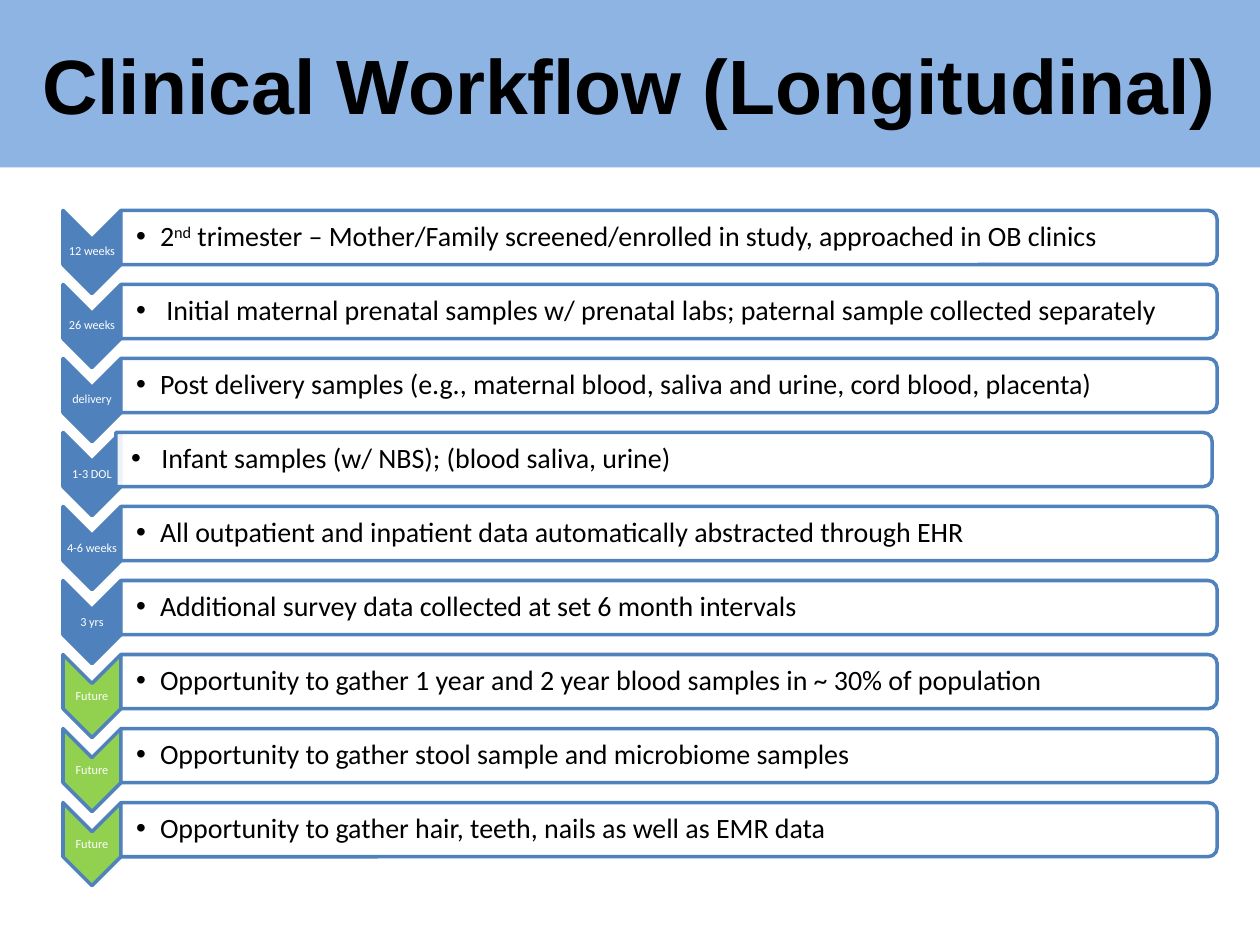
from lxml.etree import SubElement
from pptx import Presentation
from pptx.dml.color import RGBColor
from pptx.enum.shapes import MSO_SHAPE
from pptx.enum.text import MSO_ANCHOR, PP_ALIGN
from pptx.oxml.ns import qn
from pptx.util import Inches, Pt

BLUE, GREEN, WHITE, BLACK = "4F81BD", "92D050", "FFFFFF", "000000"
STEPS = [
    ("12 weeks", ["2", "nd", " trimester – Mother/Family screened/enrolled in study, "
                  "approached in OB clinics"]),
    ("26 weeks", [" Initial maternal prenatal samples w/ prenatal labs; "
                  "paternal sample collected separately"]),
    ("delivery", ["Post delivery samples (e.g., maternal blood, saliva and urine, "
                  "cord blood, placenta)"]),
    ("1-3 DOL", [" Infant samples (w/ NBS); (blood saliva, urine)"]),
    ("4-6 weeks", ["All outpatient and inpatient data automatically abstracted through EHR"]),
    ("3 yrs", ["Additional survey data collected at set 6 month intervals"]),
    ("Future", ["Opportunity to gather 1 year and 2 year blood samples in ~ 30% of population"]),
    ("Future", ["Opportunity to gather stool sample and microbiome samples"]),
    ("Future", ["Opportunity to gather hair, teeth, nails as well as EMR data"]),
]
TOP, PITCH = 1.67, 4.7 / 8       # first row and row step
CHEVRON_W, CHEVRON_H = 0.46, 0.66
BAR_W, BAR_H = 8.7, 0.43

prs = Presentation()
prs.slide_width, prs.slide_height = Inches(10), Inches(7.5)
slide = prs.slides.add_slide(prs.slide_layouts[5])


def add_turned(kind, left, top, width, height, fill):
    """Add a shape turned by 90 degrees that covers the given area."""
    x, y = left + (width - height) / 2, top + (height - width) / 2
    sp = slide.shapes.add_shape(kind, Inches(x), Inches(y), Inches(height), Inches(width))
    sp.rotation = 90
    sp.shadow.inherit = False
    sp.fill.solid()
    sp.fill.fore_color.rgb = RGBColor.from_string(fill)
    sp.line.color.rgb = RGBColor.from_string(BLUE)
    sp.line.width = Pt(2)
    return sp


def add_text(left, top, width, height, runs, size, color, insets=(0, 0, 0, 0)):
    """Add a text box with one paragraph and return the paragraph."""
    box = slide.shapes.add_textbox(Inches(left), Inches(top), Inches(width), Inches(height))
    tf = box.text_frame
    tf.word_wrap = True
    tf.vertical_anchor = MSO_ANCHOR.MIDDLE
    tf.margin_left, tf.margin_top, tf.margin_right, tf.margin_bottom = map(Inches, insets)
    p = tf.paragraphs[0]
    p.line_spacing = 0.9
    for text in runs:
        r = p.add_run()
        r.text = text
        r.font.name, r.font.size = "Calibri", Pt(size)
        r.font.color.rgb = RGBColor.from_string(color)
        if text == "nd":
            r.font._element.set("baseline", "30000")
    return p


# Header band behind the title
band = slide.shapes.add_shape(MSO_SHAPE.RECTANGLE, 0, 0, prs.slide_width, Inches(1.33))
band.shadow.inherit = False
band.fill.solid()
band.fill.fore_color.rgb = RGBColor.from_string("8EB4E3")
band.line.fill.background()
slide.shapes._spTree.insert(2, band._element)

# Title
title = slide.shapes.title
title.left, title.top, title.width, title.height = 0, 0, prs.slide_width, Inches(1.33)
tf = title.text_frame
tf.vertical_anchor = MSO_ANCHOR.MIDDLE
p = tf.paragraphs[0]
p.alignment = PP_ALIGN.CENTER
r = p.add_run()
r.text = "Clinical Workflow (Longitudinal)"
r.font.name, r.font.size, r.font.bold = "Arial", Pt(44), True
r.font.color.rgb = RGBColor.from_string(BLACK)

# Workflow rows: chevron with its time, bar with its step
for i, (time, runs) in enumerate(STEPS):
    y = TOP + i * PITCH
    bar_x = 0.92 if time == "1-3 DOL" else 0.96
    add_turned(MSO_SHAPE.CHEVRON, 0.5, y, CHEVRON_W, CHEVRON_H,
               GREEN if time == "Future" else BLUE)
    p = add_text(0.5, y + 0.23, CHEVRON_W, 0.2, [time], 7, WHITE)
    p.alignment = PP_ALIGN.CENTER

    bar = add_turned(MSO_SHAPE.ROUND_2_SAME_RECTANGLE, bar_x, y, BAR_W, BAR_H, WHITE)
    color = bar._element.spPr.find(qn("a:solidFill"))[0]
    SubElement(color, qn("a:alpha"), val="90000")
    p = add_text(bar_x, y + 0.02, BAR_W - 0.02, 0.39, runs, 16, BLACK,
                 (0.12, 0.01, 0.01, 0.01))
    p.level = 1
    pPr = p._p.get_or_add_pPr()
    pPr.set("marL", str(Inches(0.19)))
    pPr.set("indent", str(-Inches(0.19)))
    SubElement(pPr, qn("a:buFont"), typeface="Arial")
    SubElement(pPr, qn("a:buChar"), char="•")

prs.save("out.pptx")
